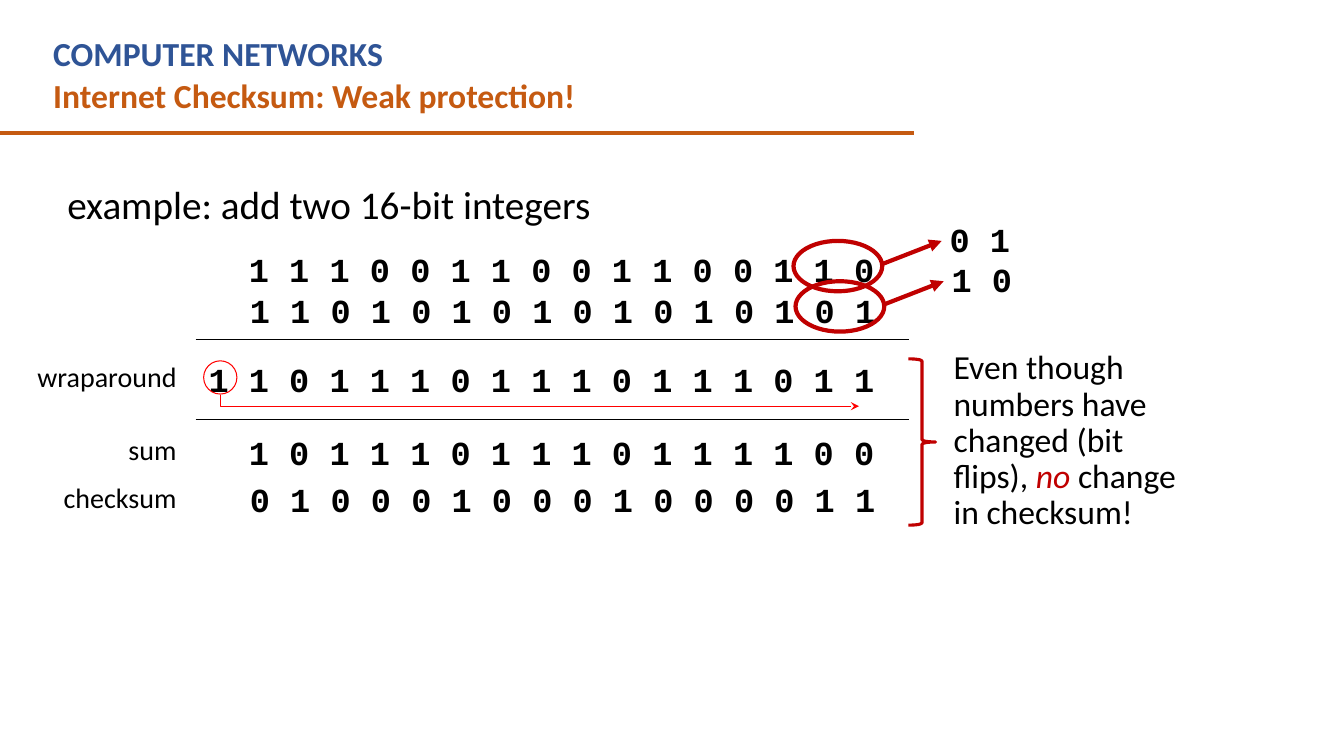
from lxml.etree import SubElement
from pptx import Presentation
from pptx.dml.color import RGBColor
from pptx.enum.shapes import MSO_CONNECTOR as Link, MSO_SHAPE as Shape
from pptx.enum.text import PP_ALIGN as Align
from pptx.oxml.ns import qn
from pptx.util import Inches, Pt

BLACK = RGBColor(0x00, 0x00, 0x00)
BLUE = RGBColor(0x2F, 0x54, 0x96)
ORANGE = RGBColor(0xC5, 0x5A, 0x11)
RED = RGBColor(0xFF, 0x00, 0x00)
DARK_RED = RGBColor(0xC0, 0x00, 0x00)


class Board:
    sans = "Calibri"
    mono = "Courier New"

    def __init__(self, slide):
        self.shapes = slide.shapes

    def text(self, words, x, y, w, h, size=24, color=BLACK, bold=False,
             font=sans, align=Align.LEFT, space=None):
        """Add a text box; words is a string or a list of (string, color, italic)."""
        box = self.shapes.add_textbox(Inches(x), Inches(y), Inches(w), Inches(h))
        frame = box.text_frame
        frame.word_wrap = True
        para = frame.paragraphs[0]
        para.alignment = align
        para.line_spacing = space
        parts = [(words, color, False)] if isinstance(words, str) else words
        for part, tint, slant in parts:
            run = para.add_run()
            run.text = part
            run.font.name = font
            run.font.size = Pt(size)
            run.font.bold = bold
            run.font.italic = slant
            run.font.color.rgb = tint

    def title(self, words, y, color):
        self.text(words, 0.43, y, 8.5, 0.5, color=color, bold=True)

    def label(self, words, x, y):
        self.text(words, x, y, 1.85 - x, 0.44, size=20, align=Align.RIGHT)

    def bits(self, digits, x, y, w=6.45):
        self.text(" ".join(digits), x, y, w, 0.5, bold=True, font=self.mono)

    def stroke(self, item, color, width, head=None):
        item.line.color.rgb = color
        item.line.width = Pt(width)
        if head:
            SubElement(item.line._ln, qn("a:tailEnd"), type=head)

    def line(self, x1, y1, x2, y2, color, width, head=None):
        link = self.shapes.add_connector(
            Link.STRAIGHT, Inches(x1), Inches(y1), Inches(x2), Inches(y2))
        self.stroke(link, color, width, head)
        SubElement(link._element.spPr, qn("a:effectLst"))

    def outline(self, kind, x, y, w, h, color, width):
        shape = self.shapes.add_shape(
            kind, Inches(x), Inches(y), Inches(w), Inches(h))
        shape.shadow.inherit = False
        shape.fill.background()
        self.stroke(shape, color, width)
        return shape

    def route(self, points, color, width, head):
        start, *rest = [(Inches(x), Inches(y)) for x, y in points]
        pen = self.shapes.build_freeform(*start)
        pen.add_line_segments(rest, close=False)
        shape = pen.convert_to_shape()
        shape.shadow.inherit = False
        shape.fill.background()
        self.stroke(shape, color, width, head)

    def flip(self, digits, x, y):
        """Circle the last two bits and point to their new values."""
        self.outline(Shape.OVAL, x, y, 0.88, 0.5, DARK_RED, 3)
        self.line(x + 0.88, y + 0.23, x + 1.47, y, DARK_RED, 3, "triangle")
        self.bits(digits, x + 1.45, y - 0.27, 1.01)


def main():
    deck = Presentation()
    deck.slide_width = Inches(13.33)
    deck.slide_height = Inches(7.5)
    board = Board(deck.slides.add_slide(deck.slide_layouts[6]))

    # Heading
    board.title("COMPUTER NETWORKS", 0.28, BLUE)
    board.title("Internet Checksum: Weak protection!", 0.69, ORANGE)
    board.line(0, 1.32, 9.07, 1.32, ORANGE, 3)

    # Addition
    board.text("example: add two 16-bit integers", 0.57, 1.6, 8.5, 3,
               size=28, space=1.3)
    for digits, x, y in [
        ("1110011001100110", 2.37, 2.42),
        ("1101010101010101", 2.38, 2.83),
        ("1011101110111100", 2.37, 4.24),
        ("0100010001000011", 2.38, 4.7),
    ]:
        board.bits(digits, x, y)
    board.bits("11011101110111011", 1.97, 3.51, 7)
    for y in (3.37, 4.16):
        board.line(1.94, y, 9.02, y, BLACK, 1)
    for words, x, y in [
        ("wraparound", 0.2, 3.52),
        ("sum", 1.15, 4.24),
        ("checksum", 0.5, 4.72),
    ]:
        board.label(words, x, y)

    # Carry bit wrapped around to the right
    board.outline(Shape.OVAL, 2.02, 3.58, 0.33, 0.33, RED, 0.75)
    board.route([(2.19, 3.92), (2.19, 4.03), (8.52, 4.03)], RED, 0.75, "stealth")

    # Flipped bits
    board.flip("01", 7.87, 2.39)
    board.flip("10", 7.89, 2.79)

    # Conclusion
    brace = board.outline(Shape.RIGHT_BRACE, 9.01, 3.56, 0.27, 1.65,
                          DARK_RED, 2.25)
    brace.adjustments[0] = 0.08
    board.text([("Even though numbers have changed (bit flips), ", BLACK, False),
                ("no", DARK_RED, True),
                (" change in checksum!", BLACK, False)],
               9.36, 3.43, 2.63, 1.92, space=0.9)

    deck.save("out.pptx")


if __name__ == "__main__":
    main()
